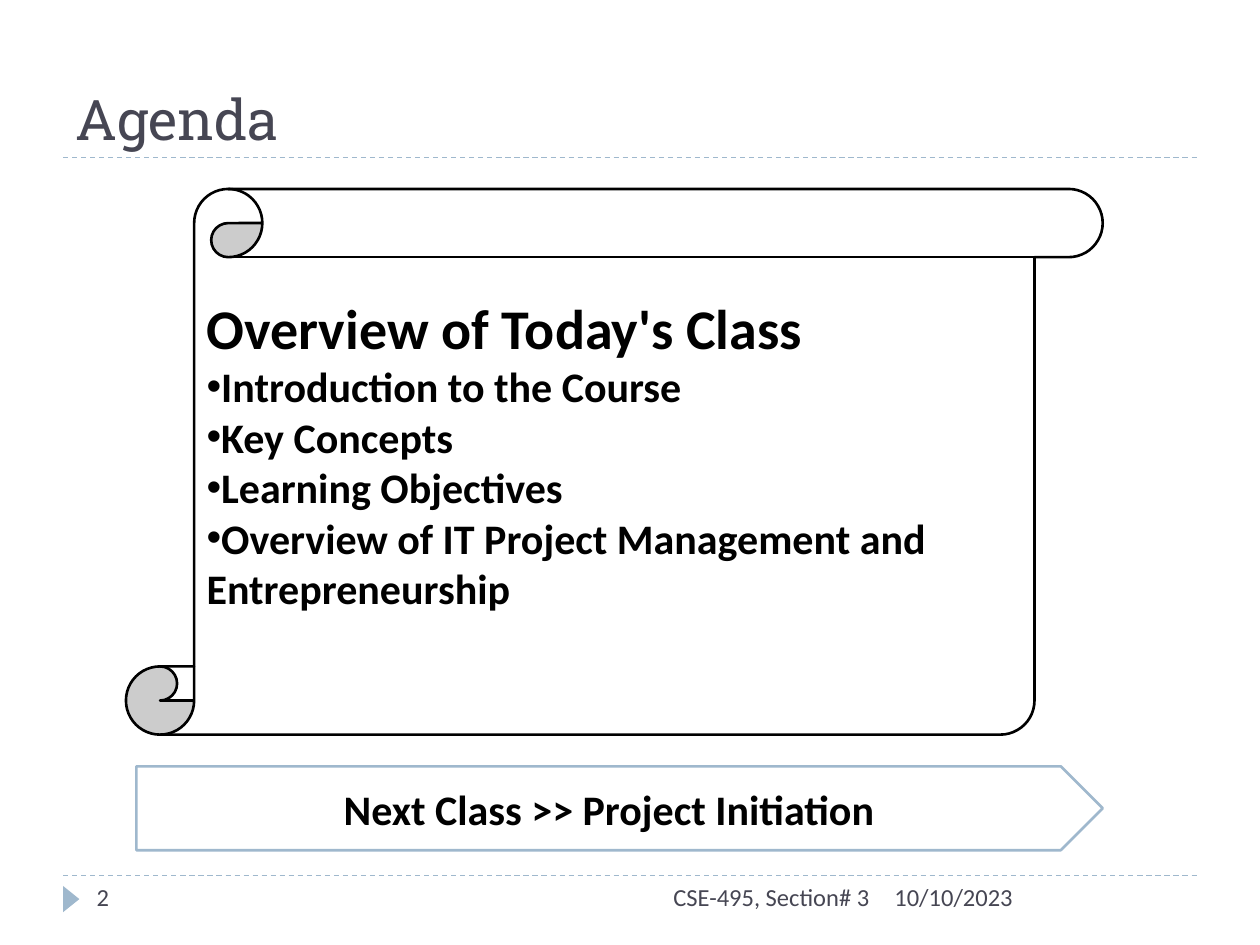
"""Build the agenda slide of a course lecture."""
from dataclasses import dataclass

from lxml.etree import SubElement
from pptx import Presentation
from pptx.dml.color import RGBColor
from pptx.enum.dml import MSO_LINE
from pptx.enum.shapes import MSO_CONNECTOR, MSO_SHAPE
from pptx.enum.text import MSO_ANCHOR, PP_ALIGN
from pptx.oxml.ns import qn
from pptx.shapes.autoshape import Shape
from pptx.slide import Slide
from pptx.util import Cm, Pt

COLORS = {"ink": "000000", "slate": "464653", "accent": "9FB8CD", "paper": "FFFFFF"}
RULE_LEFT, RULE_RIGHT = 1.27, 24.13
FOOTER_TOP, FOOTER_HEIGHT = 17.65, 1.02


@dataclass(frozen=True)
class Box:
    left: float
    top: float
    width: float
    height: float

    def lengths(self) -> tuple[Cm, Cm, Cm, Cm]:
        return Cm(self.left), Cm(self.top), Cm(self.width), Cm(self.height)


@dataclass(frozen=True)
class Line:
    text: str
    size: int
    color: str = "slate"
    font: str = "Calibri"
    bold: bool = False
    bullet: bool = False
    align: PP_ALIGN = PP_ALIGN.LEFT


@dataclass(frozen=True)
class Label:
    box: Box
    line: Line
    anchor: MSO_ANCHOR = MSO_ANCHOR.TOP


@dataclass(frozen=True)
class Panel:
    preset: MSO_SHAPE
    box: Box
    adjustment: float
    outline: str
    lines: tuple[Line, ...]
    bottom_inset: float = 0.13


def rgb(name: str) -> RGBColor:
    return RGBColor.from_string(COLORS[name])


def write(holder: Shape, lines: tuple[Line, ...], anchor: MSO_ANCHOR) -> None:
    frame = holder.text_frame
    frame.word_wrap = True
    frame.vertical_anchor = anchor
    for index, line in enumerate(lines):
        paragraph = frame.add_paragraph() if index else frame.paragraphs[0]
        paragraph.alignment = line.align
        if line.bullet:
            properties = paragraph._p.get_or_add_pPr()
            properties.set("marL", "0")
            properties.set("indent", str(-Cm(0.43)))
            tint = SubElement(properties, qn("a:buClr"))
            SubElement(tint, qn("a:srgbClr"), val=COLORS[line.color])
            SubElement(properties, qn("a:buFont"), typeface="Arial")
            SubElement(properties, qn("a:buChar"), char="•")
        run = paragraph.add_run()
        run.text = line.text
        run.font.name = line.font
        run.font.size = Pt(line.size)
        run.font.bold = line.bold
        run.font.color.rgb = rgb(line.color)


def draw_rule(slide: Slide, top: float) -> None:
    rule = slide.shapes.add_connector(
        MSO_CONNECTOR.STRAIGHT, Cm(RULE_LEFT), Cm(top), Cm(RULE_RIGHT), Cm(top))
    rule.line.color.rgb = rgb("accent")
    rule.line.width = Pt(0.75)
    rule.line.dash_style = MSO_LINE.DASH
    SubElement(rule._element.spPr, qn("a:effectLst"))


def draw_shape(slide: Slide, preset: MSO_SHAPE, box: Box, adjustment: float, fill: str) -> Shape:
    shape = slide.shapes.add_shape(preset, *box.lengths())
    shape.shadow.inherit = False
    shape.adjustments[0] = adjustment
    shape.fill.solid()
    shape.fill.fore_color.rgb = rgb(fill)
    return shape


def draw_marker(slide: Slide, box: Box) -> None:
    marker = draw_shape(slide, MSO_SHAPE.ISOSCELES_TRIANGLE, box, 0.5, "accent")
    marker.rotation = 90
    marker.line.fill.background()


def draw_label(slide: Slide, label: Label) -> None:
    holder = slide.shapes.add_textbox(*label.box.lengths())
    write(holder, (label.line,), label.anchor)


def draw_panel(slide: Slide, panel: Panel) -> None:
    shape = draw_shape(slide, panel.preset, panel.box, panel.adjustment, "paper")
    shape.line.color.rgb = rgb(panel.outline)
    shape.line.width = Pt(1.5)
    shape.text_frame.margin_bottom = Cm(panel.bottom_inset)
    write(shape, panel.lines, MSO_ANCHOR.MIDDLE)


TOPICS = (
    "Introduction to the Course",
    "Key Concepts",
    "Learning Objectives",
    "Overview of IT Project Management and Entrepreneurship",
)

LABELS = (
    Label(Box(1.27, 0.43, 22.86, 2.75), Line("Agenda", 32, font="Roboto Slab"), MSO_ANCHOR.BOTTOM),
    Label(Box(17.78, FOOTER_TOP, 6.35, FOOTER_HEIGHT), Line("10/10/2023", 14)),
    Label(Box(8.05, FOOTER_TOP, 9.73, FOOTER_HEIGHT),
          Line("CSE-495, Section# 3", 14, align=PP_ALIGN.RIGHT)),
    Label(Box(1.7, FOOTER_TOP, 5.51, FOOTER_HEIGHT), Line("2", 14)),
)

PANELS = (
    Panel(MSO_SHAPE.VERTICAL_SCROLL, Box(2.54, 3.81, 19.69, 11), 0.125, "ink",
          (Line("Overview of Today's Class", 32, "ink", bold=True),
           *(Line(topic, 24, "ink", bold=True, bullet=True) for topic in TOPICS)),
          bottom_inset=1.16),
    Panel(MSO_SHAPE.PENTAGON, Box(2.75, 15.45, 19.48, 1.69), 0.5, "accent",
          (Line("Next Class >> Project Initiation", 24, "ink", bold=True,
                align=PP_ALIGN.CENTER),)),
)


def main() -> None:
    deck = Presentation()
    deck.slide_width, deck.slide_height = Cm(25.4), Cm(19.05)
    slide = deck.slides.add_slide(deck.slide_layouts[6])
    for top in (FOOTER_TOP, 3.18):
        draw_rule(slide, top)
    draw_marker(slide, Box(1.17, 17.96, 0.53, 0.33))
    for label in LABELS:
        draw_label(slide, label)
    for panel in PANELS:
        draw_panel(slide, panel)
    deck.save("out.pptx")


if __name__ == "__main__":
    main()
